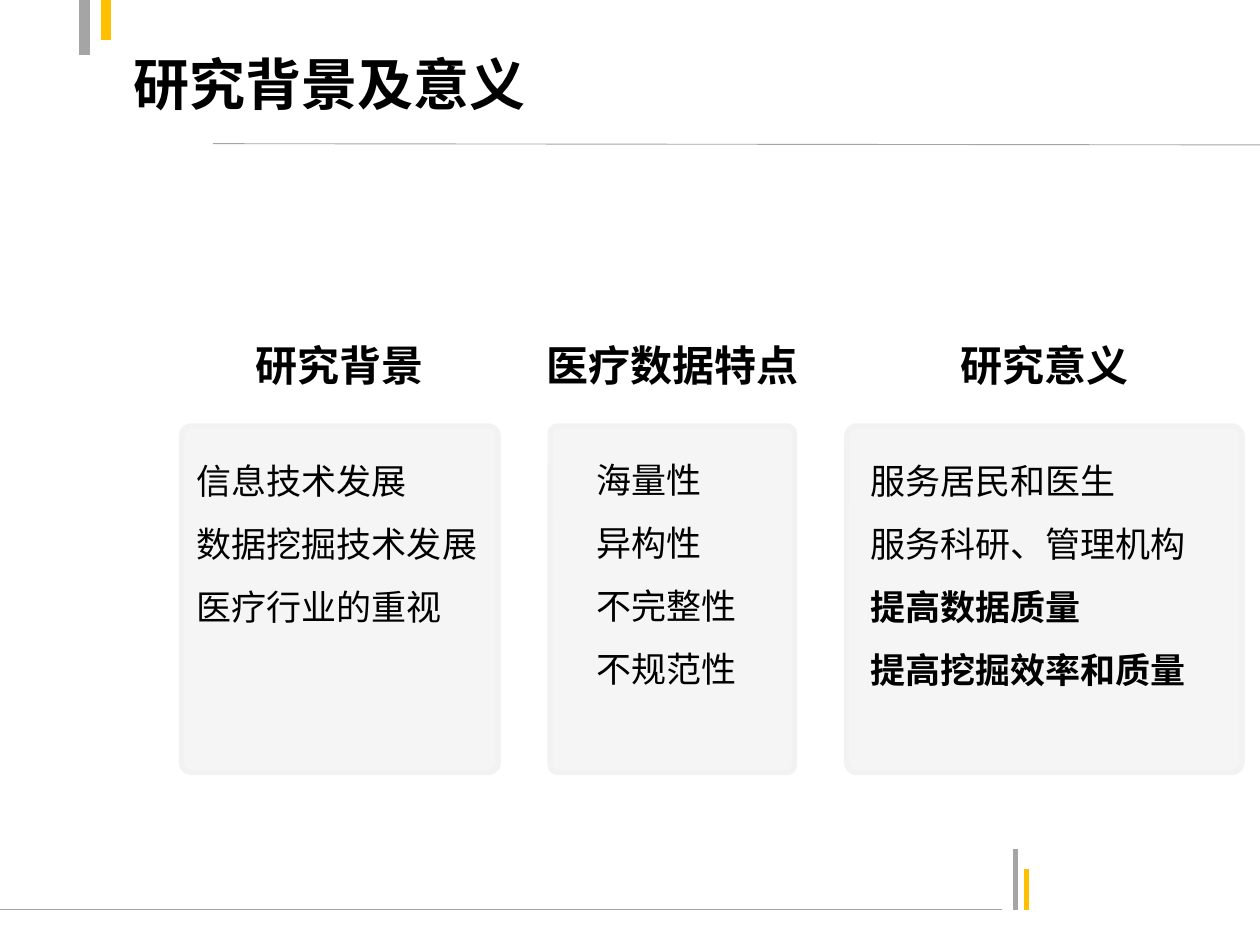
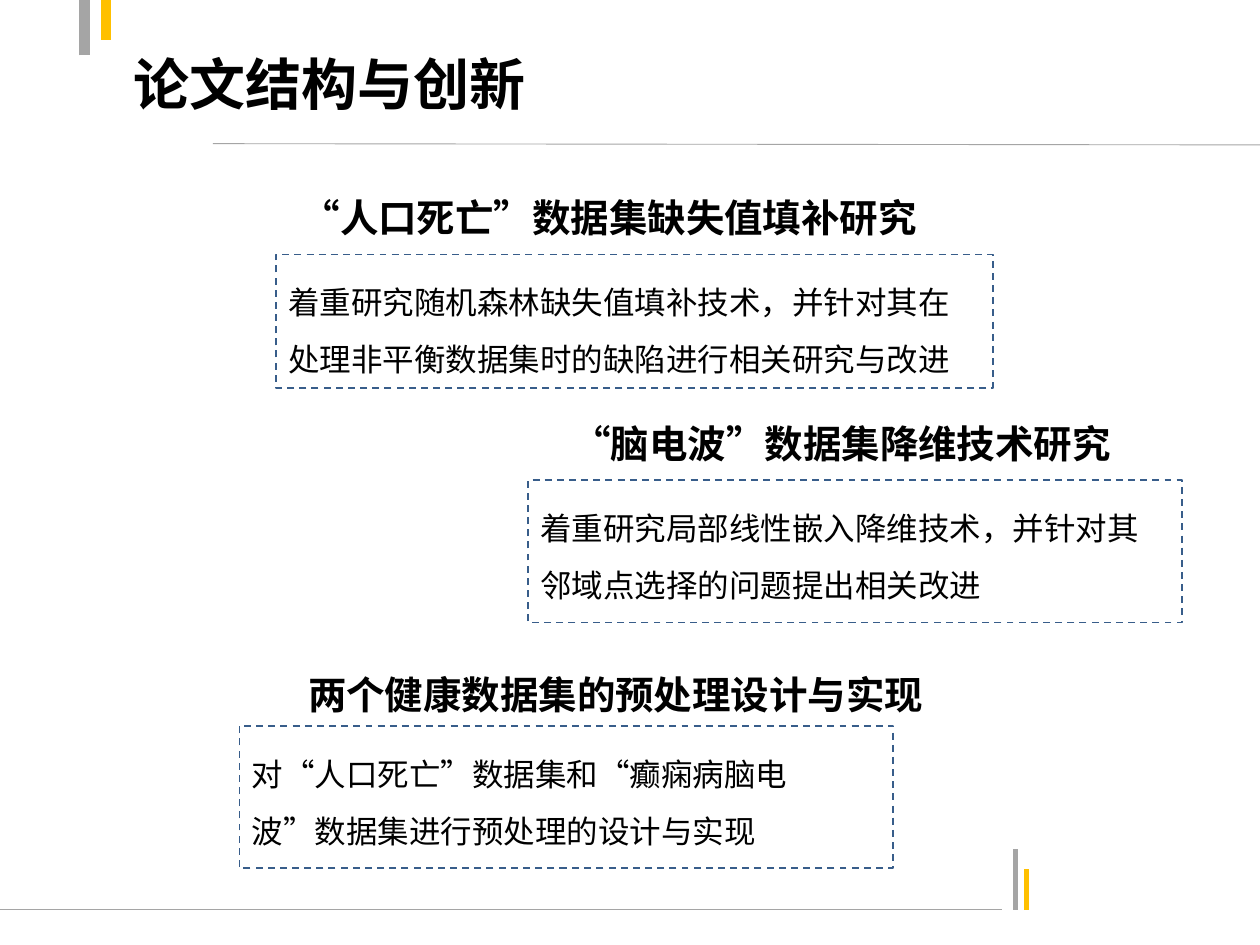
from lxml.etree import SubElement
from pptx import Presentation
from pptx.dml.color import RGBColor
from pptx.enum.dml import MSO_LINE
from pptx.enum.shapes import MSO_CONNECTOR, MSO_SHAPE
from pptx.enum.text import MSO_ANCHOR, PP_ALIGN
from pptx.oxml.ns import qn
from pptx.util import Pt

# Content: heading, panel width, text indent, lines, number of the first bold line
BACKGROUND_TITLE = "研究背景及意义"
PANELS = [
    ("研究背景", 181, 0,
     ["信息技术发展", "数据挖掘技术发展", "医疗行业的重视"], 3),
    ("医疗数据特点", 139.7, 18,
     ["海量性", "异构性", "不完整性", "不规范性"], 4),
    ("研究意义", 226, 4.5,
     ["服务居民和医生", "服务科研、管理机构", "提高数据质量", "提高挖掘效率和质量"], 2),
]

# Content: heading, its (left, top, width), body, its (left, top, width, height)
STRUCTURE_TITLE = "论文结构与创新"
TOPICS = [
    ("“人口死亡”数据集缺失值填补研究", (136.8, 106.6, 422.6),
     "着重研究随机森林缺失值填补技术，并针对其在处理非平衡数据集时的缺陷进行相关研究与改进",
     (157.7, 145.4, 409.7, 76.3)),
    ("“脑电波”数据集降维技术研究", (284.4, 235.4, 393.1),
     "着重研究局部线性嵌入降维技术，并针对其邻域点选择的问题提出相关改进",
     (301.7, 274.3, 373.7, 81.4)),
    ("两个健康数据集的预处理设计与实现", (136.1, 378.7, 431.3),
     "对“人口死亡”数据集和“癫痫病脑电波”数据集进行预处理的设计与实现",
     (136.8, 414.7, 373.7, 81.4)),
]

# Shared style
FONT = "Noto Sans CJK SC"
COLORS = {"text": "000000", "grey": "A5A5A5", "gold": "FFC000",
          "panel": "F6F5F5", "panel_edge": "F2F2F2", "dash": "385D8A"}
INSET = 7.2
RULES = [  # x1, y1, x2, y2, colour, width
    (-2.9, 519.8, 572.4, 519.8, "grey", 0.75),
    (580.3, 519.8, 580.3, 485.3, "grey", 3),
    (586.8, 519.8, 586.8, 496.8, "gold", 3),
    (48.2, 31.7, 48.2, -2.2, "grey", 6),
    (60.5, 0, 60.5, 23, "gold", 6),
    (121.7, 82.1, 720.7, 82.8, "grey", 0.5),
]


def rgb(name):
    return RGBColor.from_string(COLORS[name])


def format_runs(p, size, bold=False):
    for r in p.runs:
        r.font.size = Pt(size)
        r.font.bold = bold
        r.font.name = FONT
        r.font.color.rgb = rgb("text")
        SubElement(r.font._element, qn("a:ea")).set("typeface", FONT)


def add_heading(s, text, box, size, align=PP_ALIGN.CENTER):
    tf = s.shapes.add_textbox(*map(Pt, box)).text_frame
    tf.word_wrap = True
    tf.vertical_anchor = MSO_ANCHOR.MIDDLE
    p = tf.paragraphs[0]
    p.text = text
    p.alignment = align
    format_runs(p, size, bold=True)


def add_body(s, kind, box, lines, size, pitch, indent=0, bold_from=None):
    sp = s.shapes.add_shape(kind, *map(Pt, box))
    sp.shadow.inherit = False
    tf = sp.text_frame
    tf.word_wrap = True
    tf.vertical_anchor = MSO_ANCHOR.TOP
    tf.margin_left = Pt(INSET + indent)
    tf.margin_top = Pt(5.6)
    tf.text = "\n".join(lines)
    for i, p in enumerate(tf.paragraphs):
        p.alignment = PP_ALIGN.LEFT
        p.line_spacing = Pt(pitch)
        format_runs(p, size, bold=bold_from is not None and i >= bold_from)
    return sp


def add_base_slide(prs, title):
    s = prs.slides.add_slide(prs.slide_layouts[6])
    for x1, y1, x2, y2, color, width in RULES:
        line = s.shapes.add_connector(MSO_CONNECTOR.STRAIGHT, *map(Pt, (x1, y1, x2, y2)))
        line.line.color.rgb = rgb(color)
        line.line.width = Pt(width)
        SubElement(line._element.spPr, qn("a:effectLst"))
    add_heading(s, title, (69.1, 2.2, 648, 90), 32, PP_ALIGN.LEFT)
    return s


def build_background(prs):
    s = add_base_slide(prs, BACKGROUND_TITLE)
    left, gap, heading_width = 103.7, 29.7, 181.4
    for heading, width, indent, lines, bold_from in PANELS:
        heading_left = left + (width - heading_width) / 2
        add_heading(s, heading, (heading_left, 187.2, heading_width, 42.5), 24)
        sp = add_body(s, MSO_SHAPE.ROUNDED_RECTANGLE, (left, 243.4, width, 198),
                      lines, 20, 36, indent, bold_from)
        sp.adjustments[0] = 0.03
        sp.fill.solid()
        sp.fill.fore_color.rgb = rgb("panel")
        sp.line.color.rgb = rgb("panel_edge")
        sp.line.width = Pt(3)
        left += width + gap


def build_structure(prs):
    s = add_base_slide(prs, STRUCTURE_TITLE)
    for heading, heading_box, body, body_box in TOPICS:
        add_heading(s, heading, (*heading_box, 35.3), 22)
        sp = add_body(s, MSO_SHAPE.RECTANGLE, body_box, [body], 18, 32.5)
        sp.fill.background()
        sp.line.color.rgb = rgb("dash")
        sp.line.width = Pt(1)
        sp.line.dash_style = MSO_LINE.DASH


def main():
    prs = Presentation()
    prs.slide_width, prs.slide_height = Pt(720), Pt(540)
    build_background(prs)
    build_structure(prs)
    prs.save("out.pptx")


if __name__ == "__main__":
    main()
